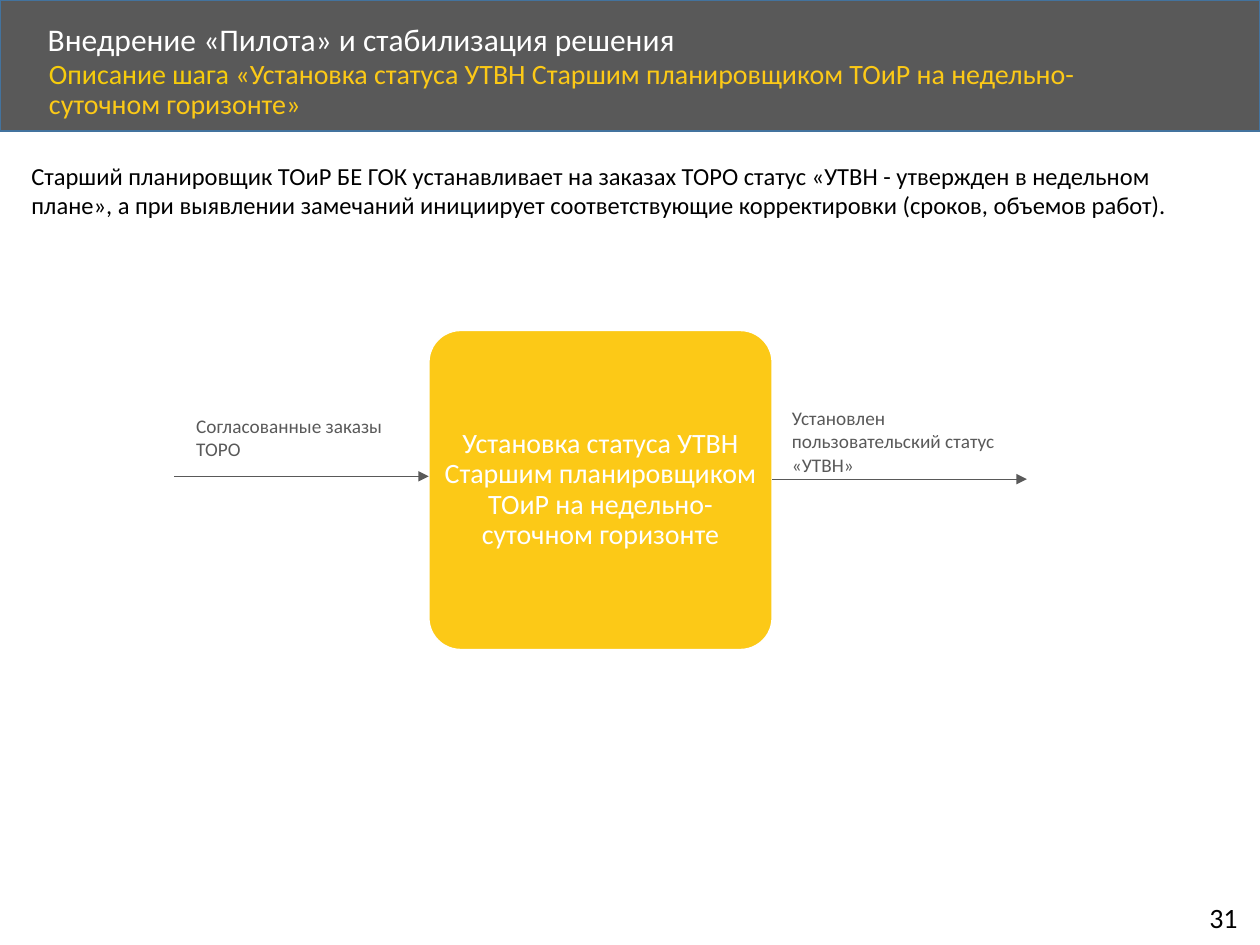
from lxml import etree
from pptx import Presentation
from pptx import util as u
from pptx.dml.color import RGBColor
from pptx.enum import shapes, text
from pptx.oxml import ns

Pt = u.Pt
GREY = RGBColor(0x59, 0x59, 0x59)
YELLOW = RGBColor(0xFC, 0xC9, 0x17)
SUBTITLE_YELLOW = RGBColor(0xF6, 0xCC, 0x0C)
BLUE = RGBColor(0x43, 0x73, 0x9E)
WHITE = RGBColor(0xFF, 0xFF, 0xFF)
BLACK = RGBColor(0, 0, 0)


class Page:
    font = "Calibri"

    def __init__(self, deck):
        self.shapes = deck.slides.add_slide(deck.slide_layouts[6]).shapes

    def add_spans(self, frame, spans, size, spacing=1.0, align=text.PP_ALIGN.LEFT):
        """Fill the first paragraph with (wording, colour) spans."""
        para = frame.paragraphs[0]
        para.alignment = align
        para.line_spacing = spacing
        for wording, colour in spans:
            span = para.add_run()
            span.text = wording
            span.font.name = self.font
            span.font.size = Pt(size)
            span.font.color.rgb = colour

    def block(self, kind, left, top, width, height, fill, line):
        box = self.shapes.add_shape(kind, Pt(left), Pt(top), Pt(width), Pt(height))
        box.shadow.inherit = False
        box.fill.solid()
        box.fill.fore_color.rgb = fill
        box.line.color.rgb = line
        box.line.width = Pt(1)
        return box

    def label(self, left, top, width, height, spans, size, spacing=1.0,
              anchor=text.MSO_ANCHOR.TOP, wrap=True):
        box = self.shapes.add_textbox(Pt(left), Pt(top), Pt(width), Pt(height))
        box.text_frame.word_wrap = wrap
        box.text_frame.vertical_anchor = anchor
        self.add_spans(box.text_frame, spans, size, spacing)

    def arrow(self, left, right, y):
        arrow = self.shapes.add_connector(
            shapes.MSO_CONNECTOR.STRAIGHT, Pt(left), Pt(y), Pt(right), Pt(y))
        arrow.line.color.rgb = GREY
        arrow.line.width = Pt(0.5)
        properties = arrow._element.spPr
        etree.SubElement(properties.find(ns.qn("a:ln")), ns.qn("a:tailEnd"), type="triangle")
        etree.SubElement(properties, ns.qn("a:effectLst"))


def main():
    deck = Presentation()
    deck.slide_width, deck.slide_height = Pt(720), Pt(540)
    page = Page(deck)

    page.block(shapes.MSO_SHAPE.RECTANGLE, 0, 0, 720, 74.75, GREY, BLUE)
    page.label(20.2, 10, 581, 27.4,
               [("Внедрение «Пилота» и стабилизация решения", WHITE)],
               18, 0.9, text.MSO_ANCHOR.MIDDLE)
    step = "Установка статуса УТВН Старшим планировщиком ТОиР на недельно-суточном горизонте"
    page.label(20.9, 31, 624, 32.4,
               [("Описание шага ", SUBTITLE_YELLOW), (f"«{step}»", YELLOW)], 16, 0.9)
    page.label(10.8, 88.5, 681, 41, [(
        "Старший планировщик ТОиР БЕ ГОК устанавливает на заказах ТОРО статус "
        "«УТВН - утвержден в недельном плане», а при выявлении замечаний инициирует "
        "соответствующие корректировки (сроков, объемов работ).", BLACK)], 14)

    left, width, reach = 245, 196.3, 145.5
    right = left + width
    box = page.block(shapes.MSO_SHAPE.ROUNDED_RECTANGLE, left, 188.8, width, 182.5,
                     YELLOW, WHITE)
    box.adjustments[0] = 0.1
    frame = box.text_frame
    frame.word_wrap = True
    frame.vertical_anchor = text.MSO_ANCHOR.MIDDLE
    frame.margin_left = frame.margin_right = Pt(0.7)
    frame.margin_top = frame.margin_bottom = Pt(0.7)
    page.add_spans(frame, [(step, WHITE)], 16, 0.9, text.PP_ALIGN.CENTER)

    page.arrow(left - reach, left, 272.2)
    page.arrow(right, right + reach, 273.8)
    page.label(105, 233.3, 144, 34, [("Согласованные заказы ТОРО", GREY)], 11)
    page.label(445.5, 228.8, 144, 47.3,
               [("Установлен пользовательский статус «УТВН»", GREY)], 11)
    page.label(684, 511.2, 33, 26.6, [("31", BLACK)], 16, wrap=False)

    deck.save("out.pptx")


if __name__ == "__main__":
    main()
